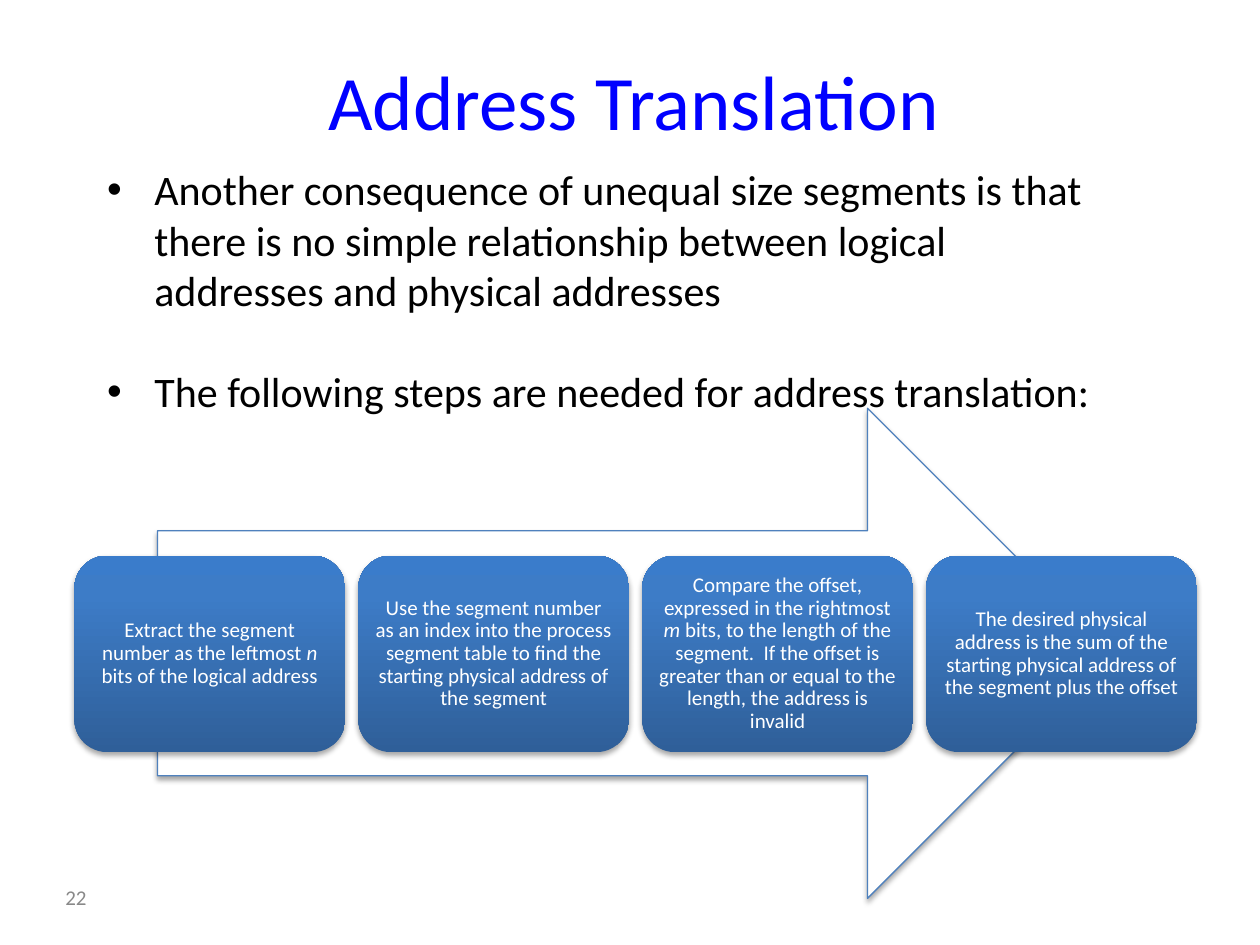
from lxml import etree
from copy import deepcopy
from pptx import Presentation
from pptx.dml.color import RGBColor
from pptx.enum.shapes import MSO_SHAPE
from pptx.enum.text import MSO_ANCHOR, MSO_AUTO_SIZE, PP_ALIGN
from pptx.oxml.ns import qn
from pptx.util import Inches, Pt

ARROW, ROUND = MSO_SHAPE.RIGHT_ARROW, MSO_SHAPE.ROUNDED_RECTANGLE
CENTER, LEFT, MIDDLE = PP_ALIGN.CENTER, PP_ALIGN.LEFT, MSO_ANCHOR.MIDDLE
NO_FIT = MSO_AUTO_SIZE.NONE

BLUE = RGBColor(0x00, 0x00, 0xFF)
BLACK = RGBColor(0x00, 0x00, 0x00)
WHITE = RGBColor(0xFF, 0xFF, 0xFF)
GRAY = RGBColor(0x89, 0x89, 0x89)
EDGE = RGBColor(0x4F, 0x81, 0xBD)
FADE = [
    (0, RGBColor(0x2F, 0x5F, 0x99)),
    (0.8, RGBColor(0x3D, 0x7C, 0xC7)),
    (1, RGBColor(0x3A, 0x7C, 0xCB)),
]
FONT = "Calibri"

# Content: each step is a list of (text, italic) runs
TITLE = "Address Translation"
POINTS = [
    "Another consequence of unequal size segments is that there is no simple "
    "relationship between logical addresses and physical addresses",
    "The following steps are needed for address translation:",
]
STEPS = [
    [("Extract the segment number as the leftmost ", False), ("n", True),
     (" bits of the logical address", False)],
    [("Use the segment number as an index into the process segment table to "
      "find the starting physical address of the segment", False)],
    [("Compare the offset, expressed in the rightmost ", False), ("m", True),
     (" bits, to the length of the segment.  If the offset is greater than "
      "or equal to the length, the address is invalid", False)],
    [("The desired physical address is the sum of the starting physical "
      "address of the segment plus the offset", False)],
]
NUMBER = "22"


def place(shape, left, top, width, height):
    shape.left, shape.top = Inches(left), Inches(top)
    shape.width, shape.height = Inches(width), Inches(height)


def write(para, runs, size, color, align):
    para.alignment = align
    for text, slant in runs:
        run = para.add_run()
        run.text = text
        font = run.font
        font.name, font.size, font.italic = FONT, Pt(size), slant
        font.color.rgb = color


def add_shadow(shape):
    shape.shadow.inherit = False
    glow = shape.element.spPr.find(qn("a:effectLst"))
    drop = etree.SubElement(glow, qn("a:outerShdw"), blurRad=str(Pt(3.1)),
                            dist=str(Pt(1.8)), dir="5400000", rotWithShape="0")
    tint = etree.SubElement(drop, qn("a:srgbClr"), val="000000")
    etree.SubElement(tint, qn("a:alpha"), val="35000")


def add_fade(shape):
    fill = shape.fill
    fill.gradient()
    fill.gradient_angle = 90
    stops = shape.element.spPr.find(qn("a:gradFill")).find(qn("a:gsLst"))
    stops.append(deepcopy(stops[-1]))
    for stop, (pos, color) in zip(fill.gradient_stops, FADE):
        stop.position = pos
        stop.color.rgb = color


deck = Presentation()
deck.slide_width, deck.slide_height = Inches(10), Inches(7.5)
slide = deck.slides.add_slide(deck.slide_layouts[1])
shapes = slide.shapes

# Title
title = shapes.title
place(title, 0.75, 0.42, 8.56, 0.75)
title.text_frame.auto_size = NO_FIT
title.text_frame.vertical_anchor = MIDDLE
write(title.text_frame.paragraphs[0], [(TITLE, False)], 44, BLUE, CENTER)

# Bullet list, with one line of space between the points
body = slide.placeholders[1]
place(body, 0.75, 1.25, 8.25, 2.08)
frame = body.text_frame
frame.auto_size = NO_FIT
for i, point in enumerate(POINTS):
    para = frame.add_paragraph() if i else frame.paragraphs[0]
    para.space_before = Pt(29 if i else 0)
    write(para, [(point, False)], 24, BLACK, LEFT)

# Arrow behind the steps
arrow = shapes.add_shape(ARROW, Inches(1.25), Inches(3.24),
                         Inches(7.58), Inches(3.89))
arrow.fill.solid()
arrow.fill.fore_color.rgb = WHITE
arrow.line.color.rgb = EDGE
arrow.line.width = Pt(0.75)
add_shadow(arrow)

# Steps, evenly spread from the first left edge to the last
FIRST, LAST, TOP, WIDE, HIGH = 0.59, 7.35, 4.41, 2.15, 1.56
pitch = (LAST - FIRST) / (len(STEPS) - 1)
for i, runs in enumerate(STEPS):
    box = shapes.add_shape(ROUND, Inches(FIRST + i * pitch), Inches(TOP),
                           Inches(WIDE), Inches(HIGH))
    add_fade(box)
    box.line.fill.background()
    add_shadow(box)
    frame = box.text_frame
    frame.word_wrap = True
    frame.vertical_anchor = MIDDLE
    frame.margin_left = frame.margin_right = Inches(0.05)
    frame.margin_top = frame.margin_bottom = Inches(0.05)
    para = frame.paragraphs[0]
    para.line_spacing = 0.9
    write(para, runs, 12, WHITE, CENTER)

# Slide number
note = shapes.add_textbox(Inches(0.42), Inches(6.92), Inches(1.08), Inches(0.4))
note.text_frame.word_wrap = True
note.text_frame.vertical_anchor = MIDDLE
write(note.text_frame.paragraphs[0], [(NUMBER, False)], 12, GRAY, LEFT)

deck.save("out.pptx")
